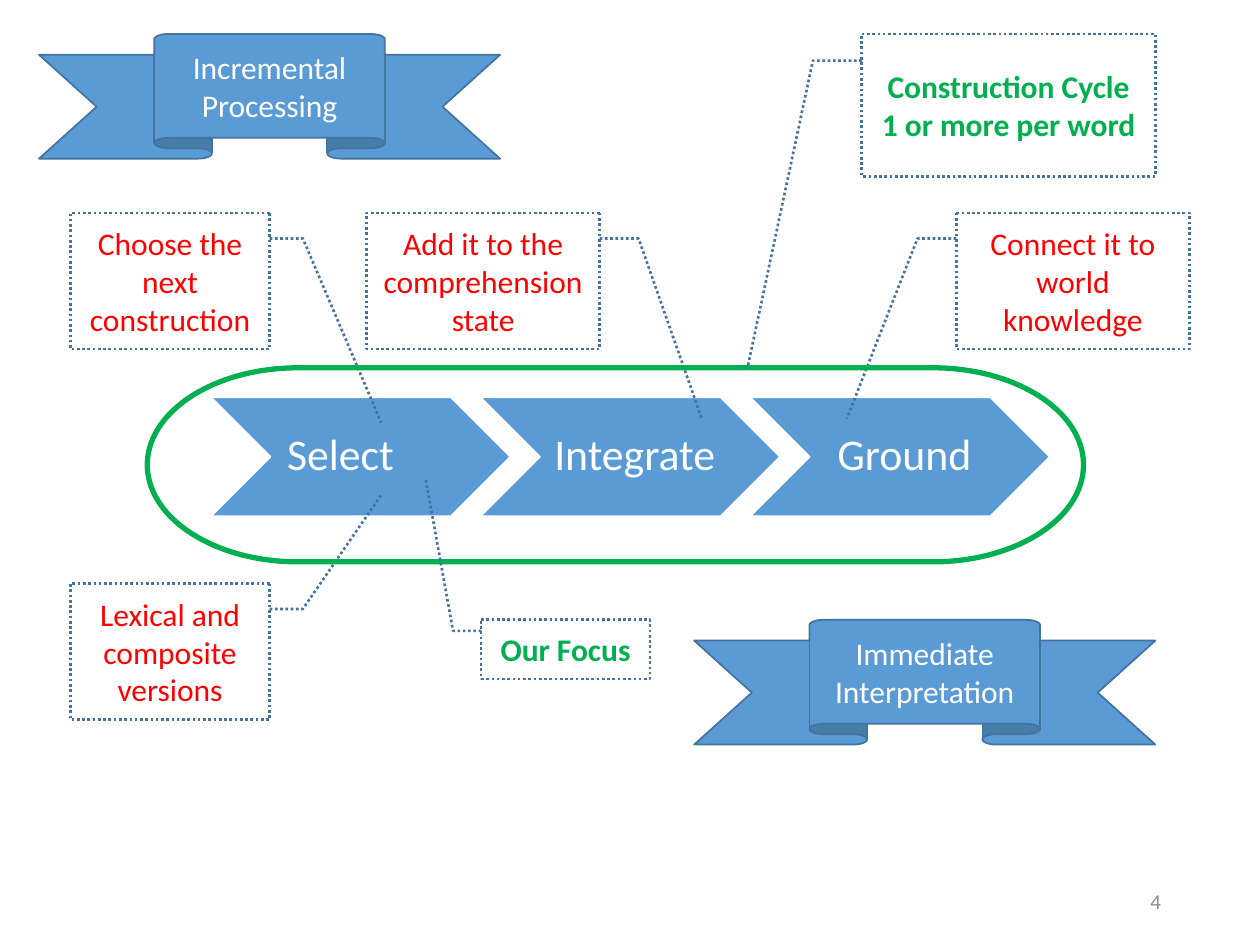
from pptx import Presentation
from pptx.dml.color import RGBColor
from pptx.enum.dml import MSO_LINE as Dash
from pptx.enum.shapes import MSO_SHAPE as Kind
from pptx.enum.text import MSO_ANCHOR as Anchor, PP_ALIGN as Align
from pptx.util import Pt

BLUE, EDGE, WHITE = "5B9BD5", "43739E", "FFFFFF"
RED, GREEN, GRAY = "FF0000", "00B050", "8C8C8C"

# Label, right inset
STEPS = [("Select", 31), ("Integrate", 3), ("Ground", 3)]

# Lines, (left, top, width, height), leader end (down, across), flipped
NOTES = [
    (["Choose the next construction"], (40.3, 121.7, 113.8, 77.8), (1.54, -0.56), True),
    (["Add it to the comprehension state"], (209.5, 121.7, 133.2, 77.8), (1.52, -0.44), True),
    (["Connect it to world knowledge"], (546.5, 121.7, 133.2, 77.8), (1.51, -0.47), False),
    (["Lexical and composite versions"], (40.3, 333.4, 113.8, 77.8), (-0.65, -0.56), True),
]
RIBBONS = [
    (["Incremental", "Processing"], (22.3, 19.4)),
    (["Immediate", "Interpretation"], (396.7, 354.2)),
]
KEYS = [
    (["Our Focus"], (275, 354.2, 96.5, 33.8), (-2.4, -0.33), False),
    (["Construction Cycle", "1 or more per word"], (492.5, 19.4, 167.8, 81.4),
     (2.35, -0.39), False),
]


def color(code):
    return RGBColor.from_string(code)


def write(shape, lines, size=18, ink=WHITE, bold=False, align=Align.CENTER,
          inset=(7.2, 3.6, 7.2, 3.6), space=1.0):
    """Fill a shape with one paragraph per line; inset is left, top, right, bottom."""
    frame = shape.text_frame
    frame.word_wrap = True
    frame.vertical_anchor = Anchor.MIDDLE
    frame.margin_left, frame.margin_top, frame.margin_right, frame.margin_bottom = map(Pt, inset)
    for i, line in enumerate(lines):
        para = frame.add_paragraph() if i else frame.paragraphs[0]
        para.alignment = align
        para.line_spacing = space
        run = para.add_run()
        run.text = line
        font = run.font
        font.name, font.size, font.bold = "Calibri", Pt(size), bold
        font.color.rgb = color(ink)


def draw(kind, box, fill, edge, width):
    shape = slide.shapes.add_shape(kind, *map(Pt, box))
    shape.shadow.inherit = False
    if fill:
        shape.fill.solid()
        shape.fill.fore_color.rgb = color(fill)
    else:
        shape.fill.background()
    shape.line.color.rgb = color(edge)
    shape.line.width = Pt(width)
    return shape


def note(lines, box, end, flip, **form):
    """Draw a dotted callout whose bent leader stops at end."""
    shape = draw(Kind.LINE_CALLOUT_2, box, WHITE, EDGE, 1.5)
    shape.line.dash_style = Dash.ROUND_DOT
    for i, value in enumerate((0.1875, 0, 0.1875, -0.1667, *end)):
        shape.adjustments[i] = value
    if flip:
        shape._element.spPr.xfrm.set("flipH", "1")
    write(shape, lines, **form)


deck = Presentation()
deck.slide_width, deck.slide_height = Pt(720), Pt(540)
slide = deck.slides.add_slide(deck.slide_layouts[6])

number = slide.shapes.add_textbox(Pt(508.5), Pt(500.5), Pt(162), Pt(28.8))
write(number, ["4"], size=12, ink=GRAY, align=Align.RIGHT)

for i, (label, right) in enumerate(STEPS):
    step = draw(Kind.CHEVRON, (120.5 + 154.1 * i, 227, 171.2, 68), BLUE, WHITE, 1)
    write(step, [label], size=25, inset=(8, 3, right, 3), space=0.9)

for item in NOTES:
    note(*item, ink=RED)

for lines, spot in RIBBONS:
    write(draw(Kind.UP_RIBBON, (*spot, 263.5, 71.3), BLUE, EDGE, 1), lines)

draw(Kind.FLOWCHART_TERMINATOR, (84.2, 210.2, 535, 110.9), None, GREEN, 3)

for item in KEYS:
    note(*item, ink=GREEN, bold=True)

deck.save("out.pptx")
